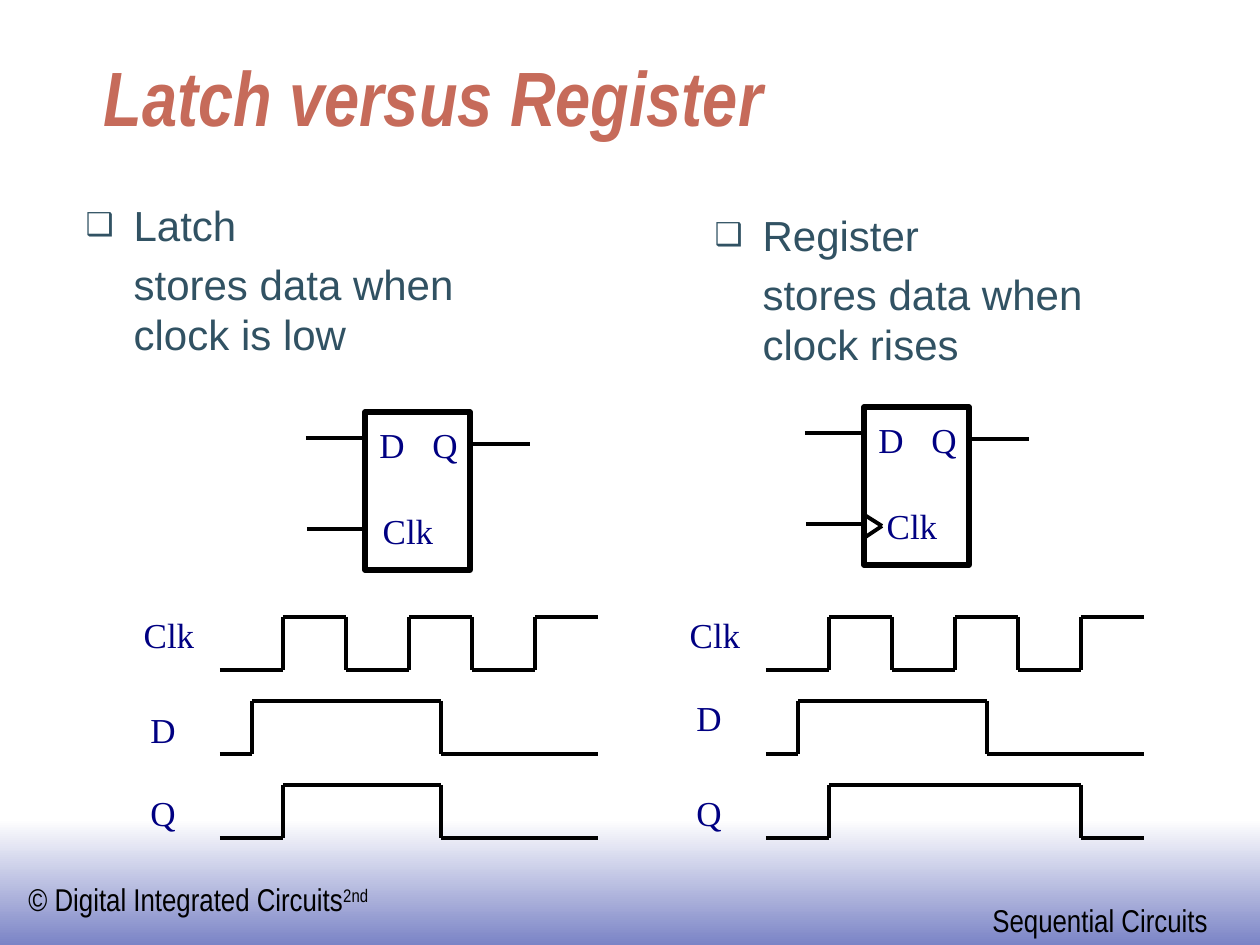
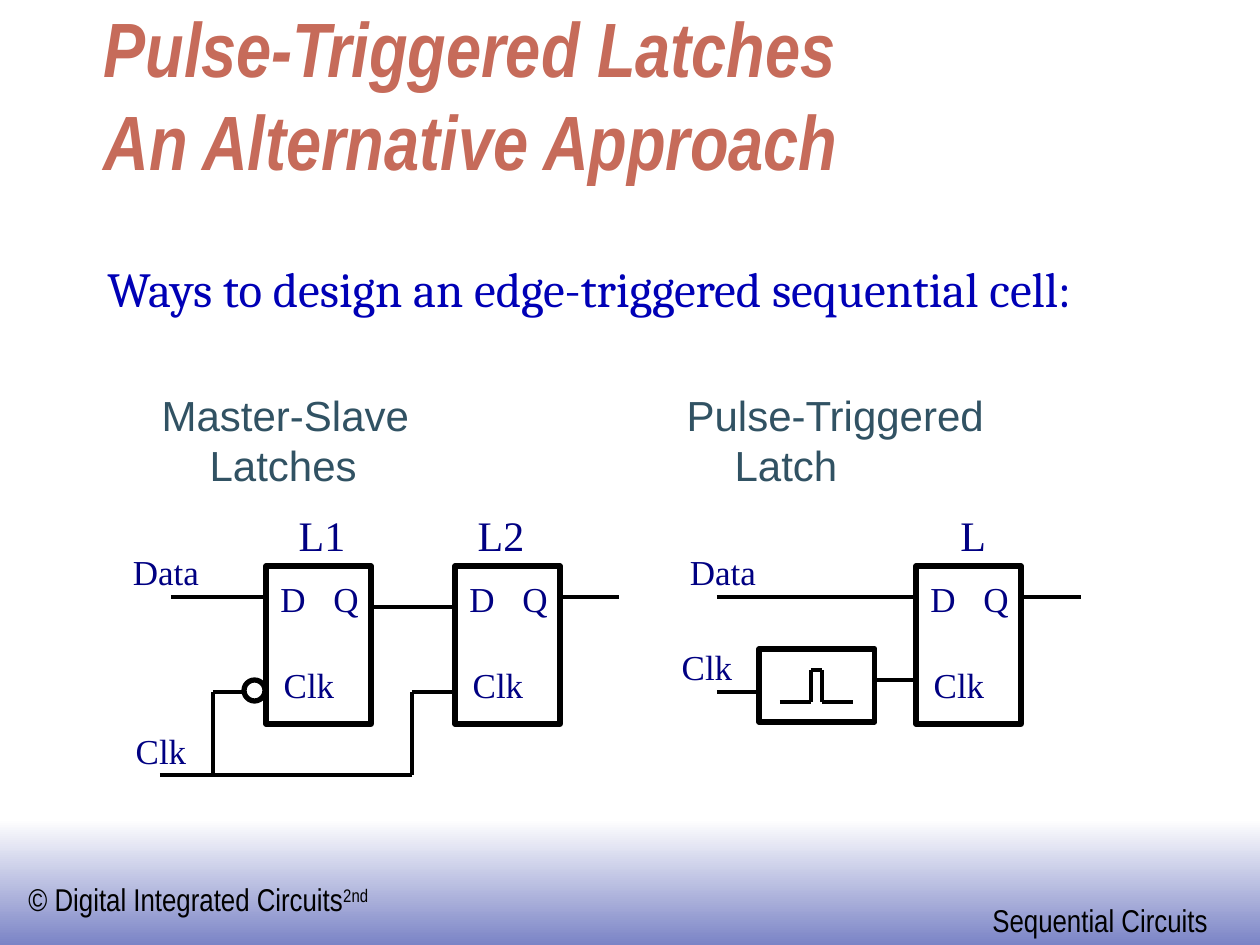
"""Build two slides that compare latches, registers and pulse-triggered latches."""
from itertools import pairwise

from lxml import etree
from pptx import Presentation
from pptx import util as u
from pptx.dml.color import RGBColor
from pptx.enum import shapes, text
from pptx.oxml.ns import qn

PX = 914400 / 126
INK, NAVY, BLUE, SLATE, RUST = "000000", "000082", "0000B6", "315263", "C66B5A"
WHITE, PERIWINKLE = "FFFFFF", "7B84C6"
SERIF, SANS, NARROW = "Times New Roman", "Arial", "Arial Narrow"
THIN, THICK = 2.25, 3

BAND = (0, 819, 1260, 126)
BOOK, EDITION, BOOK_BOX = "© Digital Integrated Circuits", "2nd", (16, 874, 369, 50)
CHAPTER, CHAPTER_BOX = "Sequential Circuits", (980, 895, 241, 50)

CELL_SIZE = (105, 158)
PIN_D, PIN_Q, PIN_CLK = (0, 5), (53, 5), (0, 91)
LABEL_WIDTH = {"D": 54, "Q": 54, "Clk": 86, "Data": 96}
LABEL_HEIGHT = 54
CELL_STUBS = [[(-59, 26), (0, 26)], [(-58, 117), (3, 117)], [(105, 32), (165, 32)]]
EDGE_MARK = [(-1, 107), (18, 119), (0, 131)]
WAVE_LENGTH, WAVE_HEIGHT, WAVE_BASE, WAVE_STEP = 378, 53, 670, 84

COMPARISON = {
    "title": "Latch versus Register",
    "title_top": 50,
    "lists": [
        ((73, 193, 572, 168), "Latch", "stores data when \nclock is low"),
        ((702, 203, 495, 168), "Register", "stores data when \nclock rises"),
    ],
    "cells": [((365, 412), 0), ((864, 407), 5)],
    "timing": [
        (220, [("Clk", (-94, -63), [63, 126, 189, 252, 315]),
               ("D", (-84, -52), [32, 221]),
               ("Q", (-84, -53), [63, 221])]),
        (766, [("Clk", (-94, -63), [63, 126, 189, 252, 315]),
               ("D", (-84, -64), [32, 221]),
               ("Q", (-84, -53), [63, 315])]),
    ],
}

ALTERNATIVE = {
    "title": "Pulse-Triggered Latches\nAn Alternative Approach",
    "title_top": 94,
    "intro": "Ways to design an edge-triggered sequential cell:",
    "intro_box": (95, 252, 1089, 72),
    "headings": [((149, 383, 410, 84), "Master-Slave Latches"),
                 ((674, 383, 410, 84), "Pulse-Triggered Latch")],
    "cells": [("L1", (266, 566), (286, 503, 72, 63)),
              ("L2", (455, 566), (465, 503, 72, 63)),
              ("L", (916, 566), (948, 503, 50, 63))],
    "inputs": [("Data", (118, 544)), ("Clk", (118, 723)),
               ("Data", (675, 544)), ("Clk", (664, 639))],
    "wires": [
        [(171, 597), (266, 597)],
        [(370, 607), (455, 607)],
        [(559, 597), (619, 597)],
        [(160, 775), (412, 775), (412, 692), (455, 692)],
        [(213, 775), (213, 692), (262, 692)],
        [(717, 597), (916, 597)],
        [(717, 692), (759, 692)],
        [(874, 680), (916, 680)],
        [(1022, 597), (1081, 597)],
    ],
    "bubble": (244, 680, 21, 21),
    "pulse_box": (759, 649, 116, 73),
    "pulse": [(780, 702), (811, 702), (811, 670), (822, 670), (822, 702), (853, 702)],
}


def px(*lengths):
    return [u.Emu(round(length * PX)) for length in lengths]


def rgb(code):
    return RGBColor.from_string(code)


def shift(points, x, y):
    return [(x + dx, y + dy) for dx, dy in points]


def style(paragraph, face, size, color, bold=None, italic=None):
    font = paragraph.font
    font.name, font.size, font.bold, font.italic = face, u.Pt(size), bold, italic
    font.color.rgb = rgb(color)


def write(slide, words, box, face, size, color, align=text.PP_ALIGN.LEFT, wrap=False):
    frame = slide.shapes.add_textbox(*px(*box)).text_frame
    frame.word_wrap = wrap
    centred = align == text.PP_ALIGN.CENTER
    frame.vertical_anchor = text.MSO_ANCHOR.MIDDLE if centred else text.MSO_ANCHOR.TOP
    paragraph = frame.paragraphs[0]
    paragraph.text, paragraph.alignment = words, align
    style(paragraph, face, size, color)
    return paragraph


def label(slide, name, x, y):
    box = (x, y, LABEL_WIDTH[name], LABEL_HEIGHT)
    write(slide, name, box, SERIF, 20, NAVY, text.PP_ALIGN.CENTER, wrap=True)


def outline(slide, preset, box, fill=None):
    shape = slide.shapes.add_shape(preset, *px(*box))
    shape.shadow.inherit = False
    if fill:
        shape.fill.solid()
        shape.fill.fore_color.rgb = rgb(fill)
    else:
        shape.fill.background()
    shape.line.color.rgb, shape.line.width = rgb(INK), u.Pt(THICK)


def wire(slide, points):
    for start, end in pairwise(points):
        line = slide.shapes.add_connector(shapes.MSO_CONNECTOR.STRAIGHT, *px(*start, *end))
        line.line.color.rgb, line.line.width = rgb(INK), u.Pt(THIN)
        etree.SubElement(line.element.spPr, qn("a:effectLst"))


def cell(slide, x, y, clk_shift=0):
    outline(slide, shapes.MSO_SHAPE.RECTANGLE, (x, y, *CELL_SIZE))
    for name, (dx, dy) in (("D", PIN_D), ("Q", PIN_Q), ("Clk", PIN_CLK)):
        label(slide, name, x + dx + (clk_shift if name == "Clk" else 0), y + dy)


def waveform(slide, x, base, toggles):
    levels = (base, base - WAVE_HEIGHT)
    points = [(x, base)]
    for count, toggle in enumerate(toggles):
        points += [(x + toggle, levels[count % 2]), (x + toggle, levels[1 - count % 2])]
    wire(slide, points + [(x + WAVE_LENGTH, levels[len(toggles) % 2])])


def hang(paragraph, indent, bullet=None):
    props = paragraph._p.get_or_add_pPr()
    left = px(48)[0]
    props.set("marL", str(left))
    props.set("indent", str(-left if indent else 0))
    if bullet:
        color = etree.SubElement(props, qn("a:buClr"))
        etree.SubElement(color, qn("a:srgbClr"), val=SLATE)
        etree.SubElement(props, qn("a:buSzPct"), val="75000")
        etree.SubElement(props, qn("a:buChar"), char=bullet)
    else:
        etree.SubElement(props, qn("a:buNone"))


def place(holder, box):
    holder.left, holder.top, holder.width, holder.height = px(*box)
    frame = holder.text_frame
    frame.auto_size, frame.word_wrap = text.MSO_AUTO_SIZE.NONE, True
    return frame


def title(slide, words, top):
    frame = place(slide.shapes.title, (91, top, 1071, 98))
    frame.vertical_anchor = text.MSO_ANCHOR.BOTTOM
    paragraph = frame.paragraphs[0]
    paragraph.text, paragraph.alignment = words, text.PP_ALIGN.LEFT
    style(paragraph, NARROW, 44, RUST, bold=True, italic=True)


def body(holder, box, lines):
    frame = place(holder, box)
    for number, (words, indent, bullet) in enumerate(lines):
        paragraph = frame.add_paragraph() if number else frame.paragraphs[0]
        paragraph.text = words
        hang(paragraph, indent, bullet)
        style(paragraph, SANS, 24, SLATE)


def share_footer(slide, layout):
    band = slide.shapes.add_shape(shapes.MSO_SHAPE.RECTANGLE, *px(*BAND))
    band.shadow.inherit = False
    band.line.fill.background()
    band.fill.gradient()
    band.fill.gradient_angle = 270
    for stop, color, position in zip(band.fill.gradient_stops, (WHITE, PERIWINKLE), (0, 1)):
        stop.color.rgb, stop.position = rgb(color), position
    book = write(slide, BOOK, BOOK_BOX, NARROW, 18, INK)
    edition = book.add_run()
    edition.text = EDITION
    edition._r.get_or_add_rPr().set("baseline", "30000")
    write(slide, CHAPTER, CHAPTER_BOX, NARROW, 18, INK)
    for part in list(slide.shapes)[-3:]:
        layout.shapes.element.append(part.element)


def comparison(slide):
    title(slide, COMPARISON["title"], COMPARISON["title_top"])
    for idx, (box, name, behaviour) in enumerate(COMPARISON["lists"], 1):
        body(slide.placeholders[idx], box, [(name, True, "❑"), (behaviour, False, None)])
    for (x, y), clk_shift in COMPARISON["cells"]:
        cell(slide, x, y, clk_shift)
        for stub in CELL_STUBS:
            wire(slide, shift(stub, x, y))
    wire(slide, shift(EDGE_MARK, *COMPARISON["cells"][1][0]))
    for x, signals in COMPARISON["timing"]:
        for row, (name, (dx, dy), toggles) in enumerate(signals):
            base = WAVE_BASE + row * WAVE_STEP
            waveform(slide, x, base, toggles)
            label(slide, name, x + dx, base + dy)


def alternative(slide):
    title(slide, ALTERNATIVE["title"], ALTERNATIVE["title_top"])
    for idx, (box, heading) in enumerate(ALTERNATIVE["headings"], 1):
        body(slide.placeholders[idx], box, [(heading, True, None)])
    for name, (x, y), box in ALTERNATIVE["cells"]:
        cell(slide, x, y)
        write(slide, name, box, SERIF, 24, NAVY, text.PP_ALIGN.CENTER)
    for points in ALTERNATIVE["wires"]:
        wire(slide, points)
    outline(slide, shapes.MSO_SHAPE.OVAL, ALTERNATIVE["bubble"], WHITE)
    outline(slide, shapes.MSO_SHAPE.RECTANGLE, ALTERNATIVE["pulse_box"])
    wire(slide, ALTERNATIVE["pulse"])
    for name, (x, y) in ALTERNATIVE["inputs"]:
        label(slide, name, x, y)
    write(slide, ALTERNATIVE["intro"], ALTERNATIVE["intro_box"], "Cambria", 28, BLUE)


def main():
    deck = Presentation()
    deck.slide_width, deck.slide_height = px(1260, 945)
    two_content = deck.slide_layouts[3]
    first, second = (deck.slides.add_slide(two_content) for _ in range(2))
    share_footer(first, two_content)
    comparison(first)
    alternative(second)
    deck.save("out.pptx")


if __name__ == "__main__":
    main()
